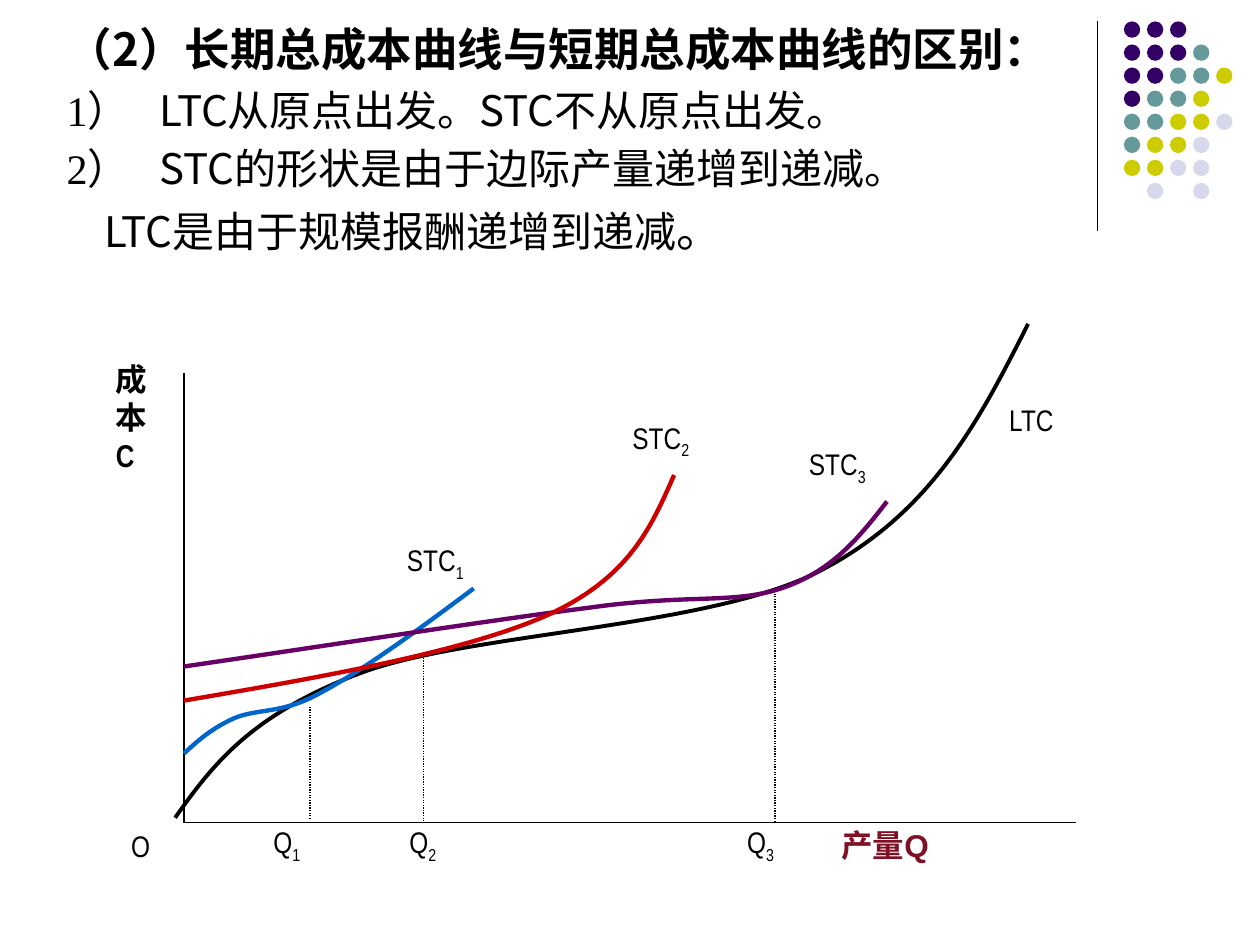
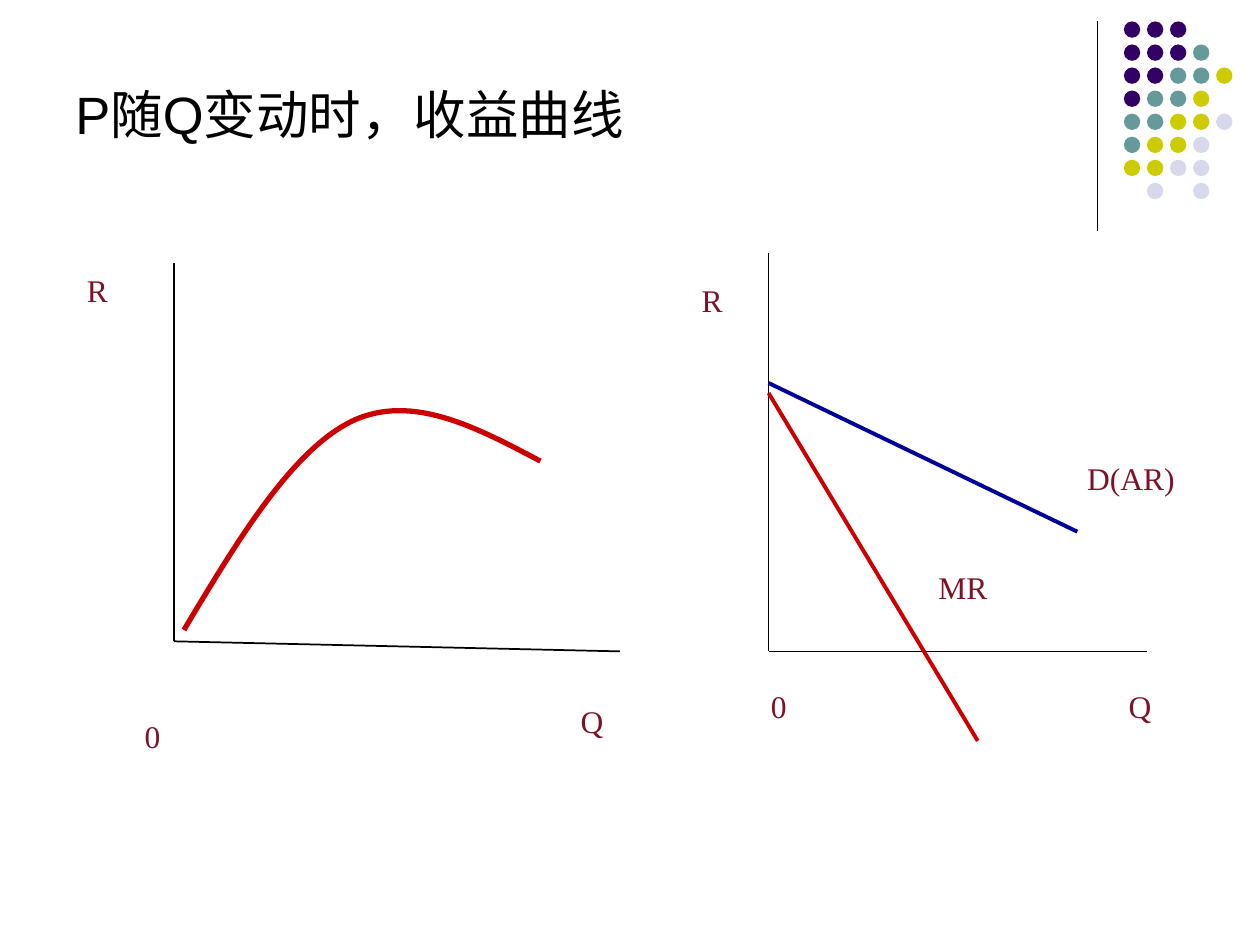
import dataclasses

import lxml.etree
import pptx
import pptx.dml.color
import pptx.enum.dml
import pptx.enum.shapes
import pptx.oxml.ns
import pptx.util

PX = 9144
QN = pptx.oxml.ns.qn


@dataclasses.dataclass(frozen=True)
class Theme:
    """Colours, fonts and type styles of the deck."""
    black: str = "000000"
    red: str = "CC0000"
    blue: str = "0066CC"
    navy: str = "000099"
    purple: str = "660066"
    wine: str = "7E1126"
    chinese: str = "Noto Sans CJK SC"
    dots: dict = dataclasses.field(default_factory=lambda: {
        "P": "330066", "T": "669999", "Y": "CCCC00", "L": "D8D8EC"})
    styles: dict = dataclasses.field(default_factory=lambda: {
        "heading": {"name": "Noto Sans CJK SC", "size": 26, "bold": True},
        "body": {"name": "Noto Sans CJK SC", "size": 24},
        "stop": {"name": "Noto Sans CJK SC", "size": 26},
        "number": {"name": "Times New Roman", "size": 24},
        "title": {"name": "Arial", "size": 30},
        "curve": {"name": "Arial Narrow", "size": 17},
        "cost": {"name": "Arial Narrow", "size": 18, "bold": True},
        "output": {"name": "Arial", "size": 18, "bold": True},
        "revenue": {"name": "Times New Roman", "size": 18}})


THEME = Theme()


def rgb(code):
    """Return the colour for a hex code."""
    return pptx.dml.color.RGBColor.from_string(code)


def add_run(paragraph, text, style, color=THEME.black, subscript=False):
    """Append a run in one of the theme's type styles."""
    run = paragraph.add_run()
    run.text = text
    values = dict(THEME.styles[style])
    values["size"] = pptx.util.Pt(values["size"])
    for attribute, value in values.items():
        setattr(run.font, attribute, value)
    run.font.color.rgb = rgb(color)
    properties = run.font._element
    latin = properties.find(QN("a:latin"))
    east_asian = lxml.etree.Element(QN("a:ea"), typeface=THEME.chinese)
    latin.addnext(east_asian)
    if subscript:
        properties.set("baseline", "-25000")


def smooth_outline(outline):
    """Turn each three straight segments of an outline into a cubic curve."""
    segments = list(outline._element.iter(QN("a:lnTo")))
    for first in range(0, len(segments), 3):
        cubic = lxml.etree.Element(QN("a:cubicBezTo"))
        segments[first].addprevious(cubic)
        for segment in segments[first:first + 3]:
            cubic.append(segment[0])
            segment.getparent().remove(segment)


@dataclasses.dataclass
class Region:
    """Drawing area whose positions count from its top left corner."""
    shapes: object
    left: int
    top: int

    def at(self, x, y):
        """Turn a position in the region into EMU on the slide."""
        return round((self.left + x) * PX), round((self.top + y) * PX)

    def line(self, start, end, color=THEME.black, width=0.75, dash=None):
        """Draw a straight line."""
        connector = self.shapes.add_connector(
            pptx.enum.shapes.MSO_CONNECTOR.STRAIGHT,
            *self.at(*start), *self.at(*end))
        connector.line.color.rgb = rgb(color)
        connector.line.width = pptx.util.Pt(width)
        if dash:
            connector.line.dash_style = dash
        lxml.etree.SubElement(connector._element.spPr, QN("a:effectLst"))

    def curve(self, knots, color, width):
        """Draw an open smooth curve."""
        start, *rest = [self.at(*knot) for knot in knots]
        builder = self.shapes.build_freeform(*start, scale=1.0)
        builder.add_line_segments(rest, close=False)
        outline = builder.convert_to_shape()
        smooth_outline(outline)
        outline.shadow.inherit = False
        outline.fill.background()
        outline.line.color.rgb = rgb(color)
        outline.line.width = pptx.util.Pt(width)

    def frame(self, x, y, width, height, inset=(10, 5)):
        """Add a text box and return its text frame."""
        box = self.shapes.add_textbox(
            *self.at(x, y), width * PX, height * PX)
        frame = box.text_frame
        across, down = (value * PX for value in inset)
        for attribute, value in {
                "word_wrap": True, "margin_left": across,
                "margin_right": across, "margin_top": down,
                "margin_bottom": down}.items():
            setattr(frame, attribute, value)
        return frame


def corner_dots(slide, left, top):
    """Draw the rule and the dot pattern in the corner."""
    Region(slide.shapes, left, top).line((0, 0), (0, 166))
    area = Region(slide.shapes.add_group_shape().shapes, left + 21, top)
    pattern = ("PPP", "PPPT", "PPTTY", "PTTY", "TTYYL", "TYYL", "YYLL", " L L")
    for row, keys in enumerate(pattern):
        for column, key in enumerate(keys):
            if key == " ":
                continue
            dot = area.shapes.add_shape(
                pptx.enum.shapes.MSO_SHAPE.OVAL,
                *area.at(column * 18.3, row * 18.3), 13 * PX, 13 * PX)
            dot.shadow.inherit = False
            dot.fill.solid()
            dot.fill.fore_color.rgb = rgb(THEME.dots[key])
            dot.line.fill.background()


def cost_notes(slide, left, top):
    """Write the heading and the points on LTC and STC."""
    frame = Region(slide.shapes, left, top).frame(0, 0, 932, 233)
    points = (
        (0, 0, [("（2）长期总成本曲线与短期总成本曲线的区别：", "heading")]),
        (7.5, 0, [("1）\t", "number"),
                  ("LTC从原点出发。STC不从原点出发。", "body")]),
        (7.5, 0, [("2）\t", "number"),
                  ("STC的形状是由于边际产量递增到递减。", "body")]),
        (8.1, 30, [("LTC是由于规模报酬递增到递减", "body"), ("。", "stop")]))
    for index, (space, indent, runs) in enumerate(points):
        paragraph = frame.add_paragraph() if index else frame.paragraphs[0]
        properties = paragraph._p.get_or_add_pPr()
        properties.set("marL", str(indent * PX))
        tabs = lxml.etree.SubElement(properties, QN("a:tabLst"))
        lxml.etree.SubElement(tabs, QN("a:tab"), pos=str(74 * PX), algn="l")
        paragraph.line_spacing = 0.9
        if space:
            paragraph.space_before = pptx.util.Pt(space)
        for text, style in runs:
            add_run(paragraph, text, style)


def cost_graph(slide, left, top):
    """Draw the long-run cost curve with its short-run curves."""
    area = Region(slide.shapes.add_group_shape().shapes, left, top)
    origin = (66, 403)
    area.line((66, 46), origin)
    area.line(origin, (774, 403))
    for x, start, end in ((166, 311, 400), (256, 272, 403), (535, 217, 403)):
        area.line((x, start), (x, end),
                  dash=pptx.enum.dml.MSO_LINE.ROUND_DOT)
    ltc = ((59, 399), (88, 358), (118, 318), (204, 285), (289, 252),
           (483, 249), (571, 203), (660, 157), (698, 82), (736, 7))
    stc1 = ((66, 348), (77, 338), (88, 328), (106, 320), (125, 312),
            (145, 317), (176, 299), (208, 282), (252, 250), (296, 217))
    stc2 = ((66, 306), (178, 287), (290, 267), (355, 238), (420, 208),
            (437, 168), (455, 127))
    stc3 = ((66, 279), (189, 261), (311, 242), (390, 232), (470, 221),
            (504, 230), (543, 216), (582, 202), (603, 175), (624, 148))
    for knots, color, width in (
            (ltc, THEME.black, 2.25), (stc1, THEME.blue, 2.5),
            (stc3, THEME.purple, 2.5), (stc2, THEME.red, 2.5)):
        area.curve(knots, color, width)
    for name, number, x, y, width in (
            ("LTC", "", 714, 65, 100), ("STC", "1", 236, 176, 120),
            ("STC", "2", 415, 79, 110), ("STC", "3", 555, 100, 130),
            ("Q", "1", 130, 400, 54), ("Q", "2", 238, 400, 54),
            ("Q", "3", 506, 400, 54), ("O", "", 17, 403, 80)):
        label = area.frame(x, y, width, 41, (7, 4)).paragraphs[0]
        add_run(label, name, "curve")
        if number:
            add_run(label, number, "curve", subscript=True)
    cost = area.frame(5, 32, 60, 165, (7, 4))
    add_run(cost.paragraphs[0], "成本", "cost")
    add_run(cost.add_paragraph(), "C", "cost")
    output = area.frame(578, 401, 182, 40)
    add_run(output.paragraphs[0], "产量Q", "output", THEME.wine)


def slide_title(slide, left, top):
    """Write the title of the revenue slide."""
    frame = Region(slide.shapes, left, top).frame(0, 0, 900, 610)
    add_run(frame.paragraphs[0], "P随Q变动时，收益曲线", "title")


def revenue_axes(slide, left, top, axis, labels):
    """Draw the axes and labels of a revenue graph and return its region."""
    area = Region(slide.shapes, left, top)
    upper, origin, right = axis
    area.line(upper, origin, width=1)
    area.line(origin, right, width=1)
    for text, x, y, width in labels:
        frame = area.frame(x, y, width, 40)
        add_run(frame.paragraphs[0], text, "revenue", THEME.wine)
    return area


def total_revenue_graph(slide, left, top):
    """Draw the total revenue curve."""
    area = revenue_axes(
        slide, left, top, ((88, 9), (88, 309), (442, 317)),
        (("Q", 401, 352, 40), ("0", 55, 364, 36), ("R", 9, 10, 38)))
    area.curve(((96, 300), (139, 228), (182, 157), (230, 134), (277, 112),
                (328, 139), (379, 166)), THEME.red, 3)


def marginal_revenue_graph(slide, left, top):
    """Draw the demand line and the marginal revenue line."""
    area = revenue_axes(
        slide, left, top, ((70, 1), (70, 317), (370, 317)),
        (("Q", 346, 340, 40), ("0", 62, 340, 53), ("R", 7, 18, 38),
         ("D(AR)", 313, 159, 94), ("MR", 195, 246, 63)))
    area.line((70, 112), (236, 388), THEME.red, 2.25)
    area.line((70, 104), (315, 222), THEME.navy, 2.25)


def main():
    """Build both slides and save the deck."""
    deck = pptx.Presentation()
    deck.slide_width, deck.slide_height = 1000 * PX, 750 * PX
    slides = (
        ((cost_notes, 43, 17), (cost_graph, 80, 250)),
        ((slide_title, 50, 60), (total_revenue_graph, 50, 200),
         (marginal_revenue_graph, 540, 200)))
    for regions in slides:
        slide = deck.slides.add_slide(deck.slide_layouts[6])
        corner_dots(slide, 871, 17)
        for draw, left, top in regions:
            draw(slide, left, top)
    deck.save("out.pptx")


if __name__ == "__main__":
    main()
